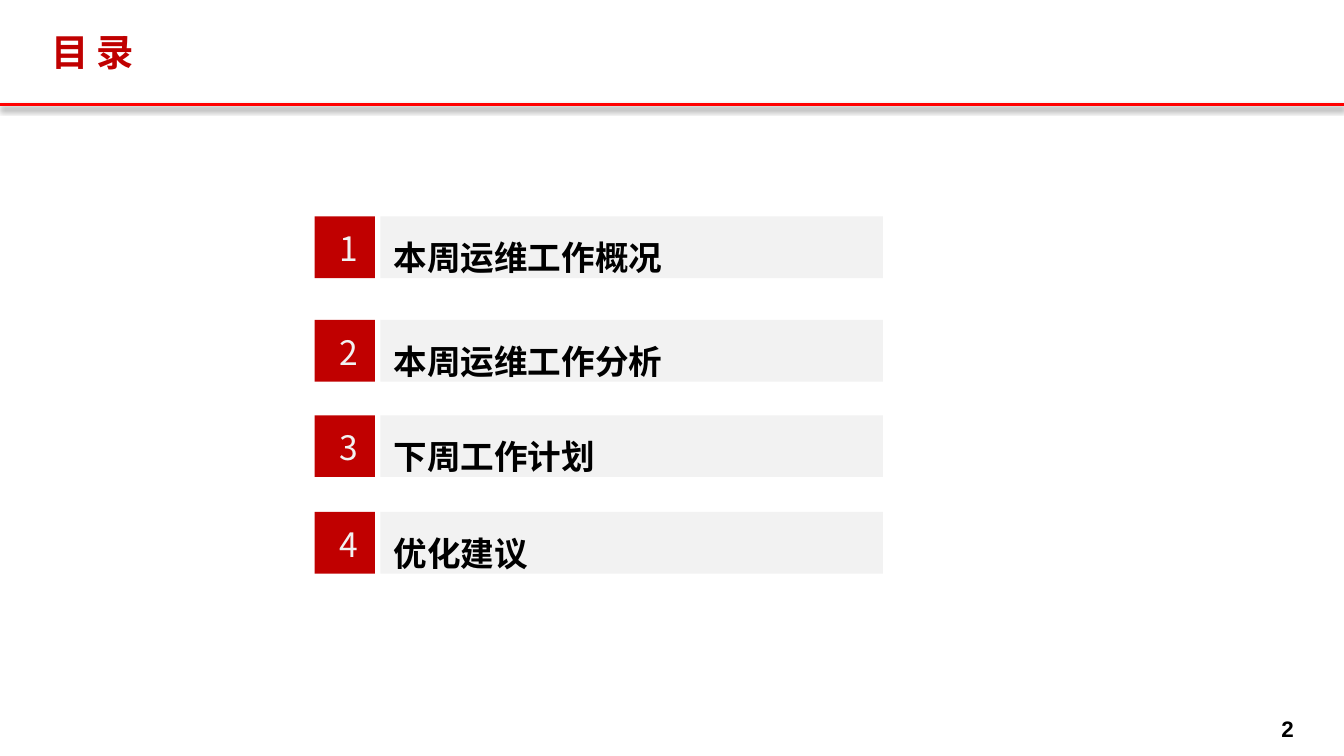
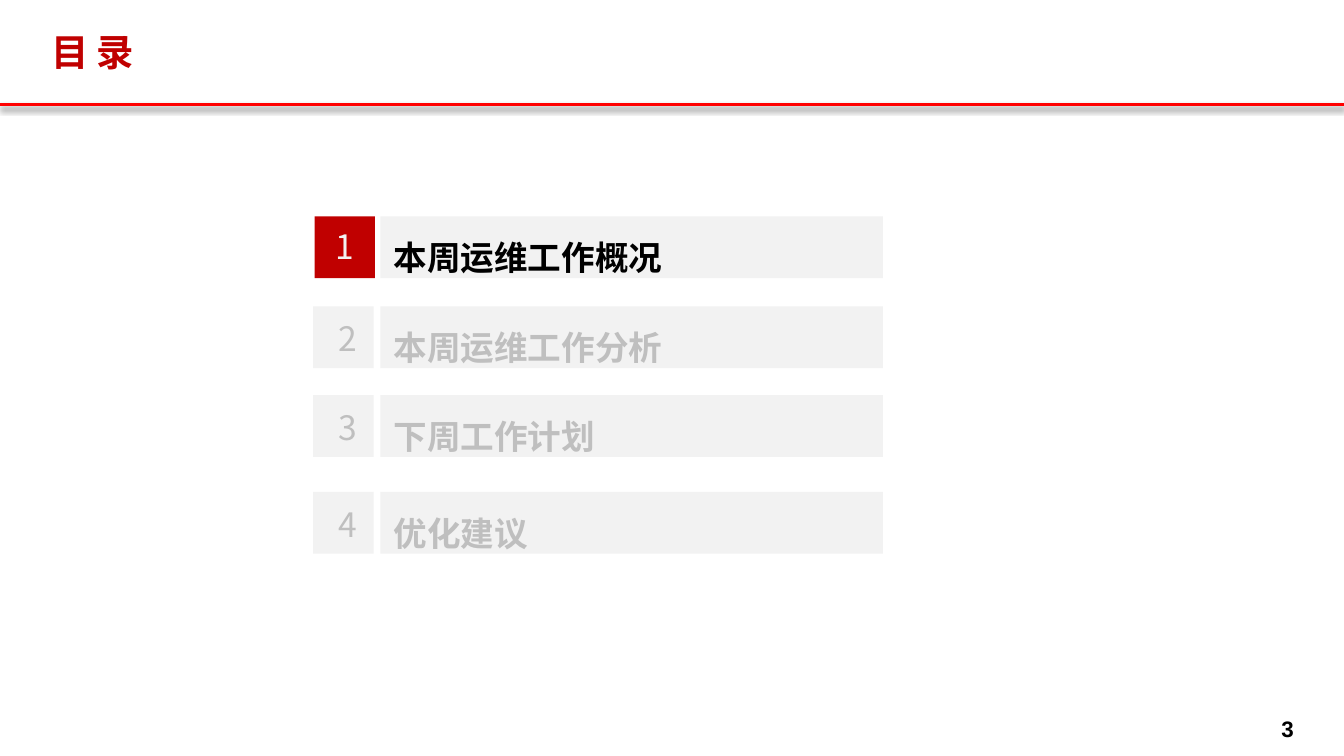
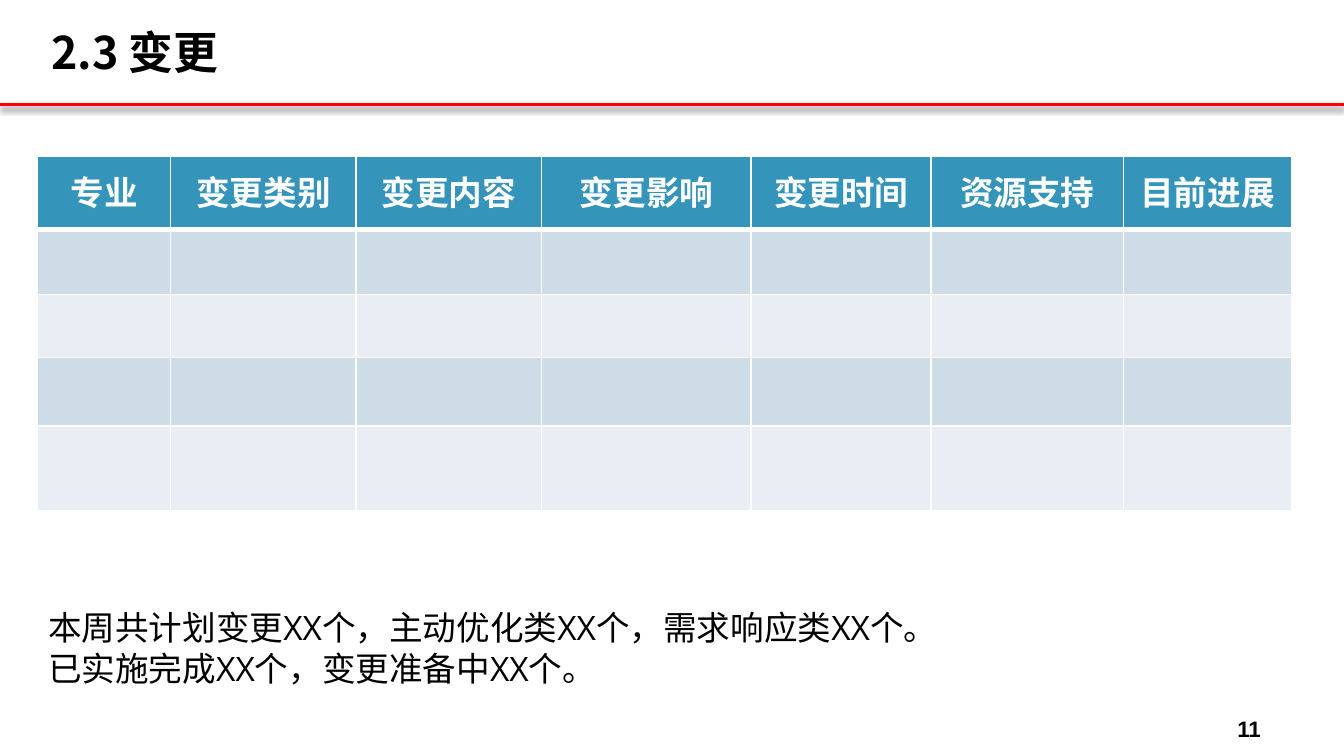
from lxml.etree import SubElement
from pptx import Presentation
from pptx.dml.color import RGBColor
from pptx.enum.shapes import MSO_CONNECTOR as CONN, MSO_SHAPE as SHAPE
from pptx.enum.text import MSO_ANCHOR as ANCHOR, MSO_AUTO_SIZE as AUTO, PP_ALIGN as ALIGN
from pptx.oxml import parse_xml
from pptx.oxml.ns import nsdecls, qn
from pptx.util import Inches, Pt

# ---- content ----
TOPICS = ["本周运维工作概况", "本周运维工作分析", "下周工作计划", "优化建议"]
AGENDAS = [
    {"page": "2", "tops": [1.61, 2.38, 3.09, 3.81], "active": {0, 1, 2, 3}},
    {"page": "3", "tops": [1.61, 2.28, 2.94, 3.66], "active": {0}},
]
HEADERS = ["专业", "变更类别", "变更内容", "变更影响", "变更时间", "资源支持", "目前进展"]
COL_WIDTHS = [0.99, 1.38, 1.38, 1.56, 1.34, 1.43, 1.25]
ROW_HEIGHTS = [0.55, 0.48, 0.47, 0.51, 0.63]
SUMMARY = [
    "本周共计划变更XX个，主动优化类XX个，需求响应类XX个。",
    "已实施完成XX个，变更准备中XX个。",
]

# ---- shared style ----
C = {"red": "C00000", "rule": "FF0000", "black": "000000", "white": "FFFFFF",
     "panel": "F2F2F2", "muted": "BFBFBF",
     "head": "3494BA", "band1": "CEDCE7", "band2": "E8EEF3"}
CJK, BODY, LATIN = "Noto Sans CJK SC", "Open Sans", "Arial"

prs = Presentation()
prs.slide_width, prs.slide_height = Inches(10), Inches(10 * 9 / 16)
layout = prs.slide_layouts[5]


def box(*lengths):
    """Turn inch values into lengths."""
    return [Inches(v) for v in lengths]


def add_run(p, text, size, color, font=CJK, bold=False):
    """Add one formatted run, with the same East Asian typeface."""
    r = p.add_run()
    r.text = text
    r.font.size, r.font.bold, r.font.name = Pt(size), bold, font
    r.font.color.rgb = RGBColor.from_string(C[color])
    SubElement(r.font._element, qn("a:ea")).set("typeface", font)


def add_rect(shapes, left, top, width, height, color):
    """Add a flat rectangle without outline."""
    sp = shapes.add_shape(SHAPE.RECTANGLE, *box(left, top, width, height))
    sp.shadow.inherit = False
    sp.fill.solid()
    sp.fill.fore_color.rgb = RGBColor.from_string(C[color])
    sp.line.fill.background()
    return sp


def add_header_rule(s):
    """Draw the shadowed red rule and move it to the shared layout."""
    line = s.shapes.add_connector(CONN.STRAIGHT, *box(0, 0.78, 10, 0.78))
    line.line.color.rgb = RGBColor.from_string(C["rule"])
    line.line.width = Pt(1.5)
    line._element.spPr.append(parse_xml(
        f'<a:effectLst {nsdecls("a")}><a:outerShdw blurRad="40000" dist="20000" '
        f'dir="5400000" rotWithShape="0"><a:srgbClr val="{C["black"]}">'
        '<a:alpha val="38000"/></a:srgbClr></a:outerShdw></a:effectLst>'))
    layout.shapes._spTree.append(line._element)


def add_page(title, size, color, page, page_left=9.29, page_width=0.58):
    """Add a slide with its title and page number."""
    s = prs.slides.add_slide(layout)
    sp = s.shapes.title
    sp.left, sp.top, sp.width, sp.height = box(0.28, 0.12, 7.83, 0.53)
    tf = sp.text_frame
    tf.auto_size, tf.vertical_anchor = AUTO.NONE, ANCHOR.MIDDLE
    p = tf.paragraphs[0]
    p.alignment = ALIGN.LEFT
    pPr = p._p.get_or_add_pPr()
    pPr.set("marL", str(Inches(0.4)))
    pPr.set("indent", str(Inches(-0.4)))
    add_run(p, title, size, color, bold=True)

    tf = s.shapes.add_textbox(*box(page_left, 5.27, page_width, 0.24)).text_frame
    tf.word_wrap = True
    p = tf.paragraphs[0]
    p.alignment = ALIGN.CENTER
    add_run(p, page, 12, "black", LATIN, True)
    return s


def add_topic(s, number, topic, top, active, alone):
    """Add one agenda row: number tile, topic panel and number."""
    shapes = s.shapes.add_group_shape().shapes
    add_rect(shapes, 2.34 if active else 2.33, top, 0.45, 0.46,
             "red" if active else "panel")
    panel = add_rect(shapes, 2.83, top, 3.74, 0.46, "panel")
    tf = panel.text_frame
    tf.vertical_anchor = ANCHOR.MIDDLE
    p = tf.paragraphs[0]
    p.alignment, p.line_spacing = ALIGN.LEFT, 1.5
    add_run(p, topic, 18, "black" if active else "muted", bold=True)

    left, drop = (2.4, 0.02) if alone else (2.43 if active else 2.42, 0.04)
    tf = shapes.add_textbox(*box(left, top + drop, 0.35, 0.4)).text_frame
    tf.word_wrap, tf.auto_size = False, AUTO.SHAPE_TO_FIT_TEXT
    add_run(tf.paragraphs[0], number, 18, "panel" if active else "muted")


def style_cell(cell, color, bottom=1):
    """Fill a cell and give it white borders."""
    tcPr = cell._tc.get_or_add_tcPr()
    for side, width in (("L", 1), ("R", 1), ("T", 1), ("B", bottom)):
        tcPr.append(parse_xml(
            f'<a:ln{side} {nsdecls("a")} w="{Pt(width)}"><a:solidFill>'
            f'<a:srgbClr val="{C["white"]}"/></a:solidFill></a:ln{side}>'))
    cell.fill.solid()
    cell.fill.fore_color.rgb = RGBColor.from_string(C[color])


def add_change_table(s):
    """Add the change table with its header row and banded empty rows."""
    table = s.shapes.add_table(
        len(ROW_HEIGHTS), len(HEADERS),
        *box(0.28, 1.16, sum(COL_WIDTHS), sum(ROW_HEIGHTS))).table
    for col, width in zip(table.columns, COL_WIDTHS):
        col.width = Inches(width)
    for i, height in enumerate(ROW_HEIGHTS):
        table.rows[i].height = Inches(height)
        for j, header in enumerate(HEADERS):
            cell = table.cell(i, j)
            if i:
                style_cell(cell, "band1" if i % 2 else "band2")
                continue
            style_cell(cell, "head", bottom=3)
            cell.vertical_anchor = ANCHOR.MIDDLE
            cell.margin_left = cell.margin_right = 0
            cell.margin_top = cell.margin_bottom = 0
            p = cell.text_frame.paragraphs[0]
            p.alignment = ALIGN.CENTER
            add_run(p, header, 18, "white", BODY, True)


# ---- slides ----
for agenda in AGENDAS:
    s = add_page("目 录", 20, "red", agenda["page"])
    for i, (topic, top) in enumerate(zip(TOPICS, agenda["tops"])):
        active = i in agenda["active"]
        add_topic(s, str(i + 1), topic, top, active,
                  active and len(agenda["active"]) == 1)

s = add_page("2.3 变更", 24, "black", "11", 8.98, 0.63)
add_change_table(s)
tf = s.shapes.add_textbox(*box(0.26, 4.47, 8.58, 0.71)).text_frame
tf.word_wrap, tf.auto_size = True, AUTO.SHAPE_TO_FIT_TEXT
for i, text in enumerate(SUMMARY):
    p = tf.add_paragraph() if i else tf.paragraphs[0]
    add_run(p, text, 18, "black", BODY)

add_header_rule(s)
prs.save("out.pptx")
